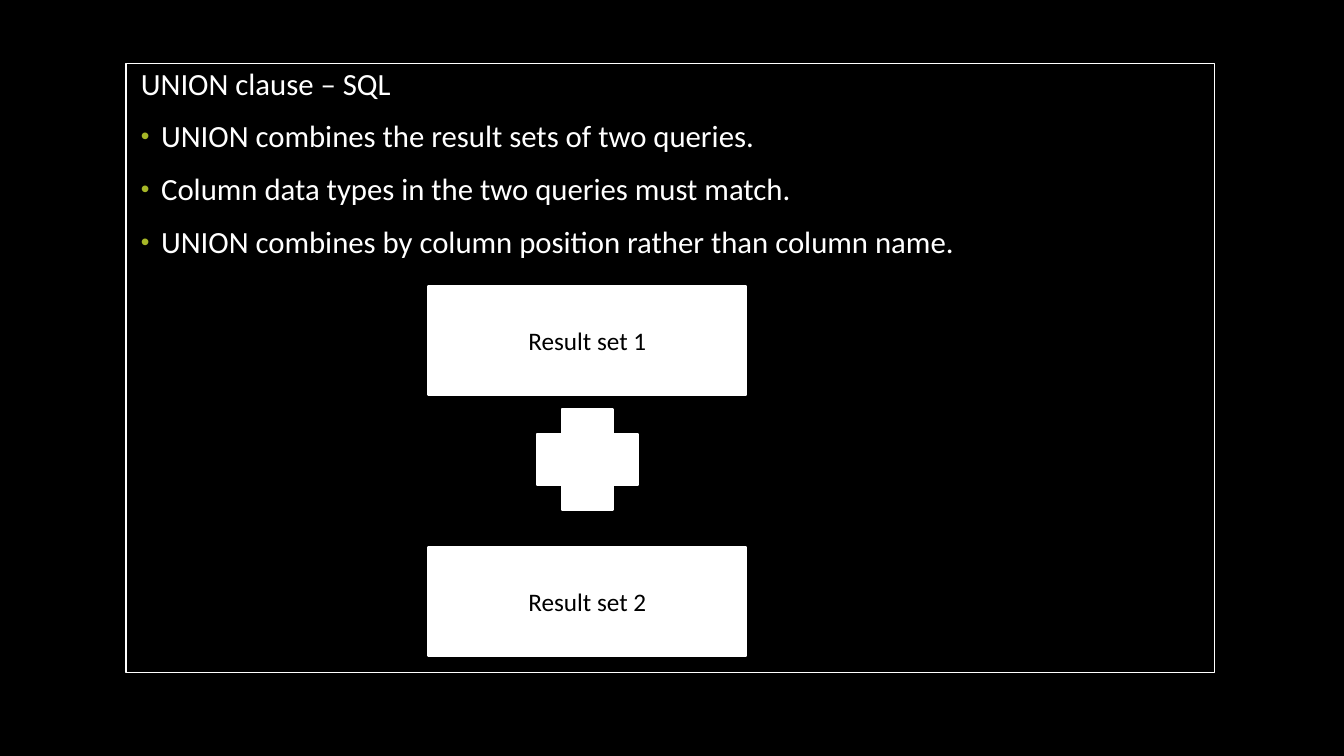
from lxml import etree
from pptx import Presentation
from pptx.dml.color import RGBColor
from pptx.enum.shapes import MSO_SHAPE
from pptx.enum.text import MSO_ANCHOR, PP_ALIGN
from pptx.oxml.ns import qn
from pptx.util import Inches, Pt

RECTANGLE, PLUS = MSO_SHAPE.RECTANGLE, MSO_SHAPE.CROSS
TOP, MIDDLE = MSO_ANCHOR.TOP, MSO_ANCHOR.MIDDLE
LEFT, CENTER = PP_ALIGN.LEFT, PP_ALIGN.CENTER

HEADING = "UNION clause – SQL"
POINTS = [
    "UNION combines the result sets of two queries.",
    "Column data types in the two queries must match.",
    "UNION combines by column position rather than column name.",
]
RESULT_SETS = [("Result set 1", 2.84), ("Result set 2", 5.43)]

FONT = "Calibri"
BLACK, WHITE, GREEN = "000000", "FFFFFF", "A6B727"
FRAME = (1.25, 0.63, 10.8, 6.04)
BOX_LEFT, BOX_WIDTH, BOX_HEIGHT = 4.25, 3.15, 1.08
PLUS_TOP, PLUS_SIZE = 4.06, 1
BODY_FORMAT = {"alignment": LEFT, "line_spacing": 0.9, "space_before": Pt(14)}


def color(value):
    return RGBColor.from_string(value)


def add_block(page, kind, bounds, line_width, fill=None):
    shape = page.shapes.add_shape(kind, *map(Inches, bounds))
    shape.shadow.inherit = False
    if fill:
        shape.fill.solid()
        shape.fill.fore_color.rgb = color(fill)
    else:
        shape.fill.background()
    shape.line.color.rgb = color(WHITE)
    shape.line.width = Pt(line_width)
    return shape


def write(para, text, size, ink, formats):
    for name, value in formats.items():
        setattr(para, name, value)
    span = para.add_run()
    span.text = text
    span.font.name = FONT
    span.font.size = Pt(size)
    span.font.color.rgb = color(ink)


def set_indent(para, margin, indent=0):
    properties = para._p.get_or_add_pPr()
    properties.set("marL", str(Inches(margin)))
    properties.set("indent", str(Inches(indent)))
    return properties


def add_bullet(para):
    properties = set_indent(para, 0.25, -0.2)
    bullet_color = etree.SubElement(properties, qn("a:buClr"))
    etree.SubElement(bullet_color, qn("a:srgbClr"), val=GREEN)
    etree.SubElement(properties, qn("a:buSzPct"), val="80000")
    etree.SubElement(properties, qn("a:buFont"), typeface="Arial")
    etree.SubElement(properties, qn("a:buChar"), char="•")


deck = Presentation()
deck.slide_width, deck.slide_height = Inches(13.33), Inches(7.5)
page = deck.slides.add_slide(deck.slide_layouts[6])
page.background.fill.solid()
page.background.fill.fore_color.rgb = color(BLACK)

body = add_block(page, RECTANGLE, FRAME, 0.75).text_frame
body.word_wrap = True
body.vertical_anchor = TOP
heading = body.paragraphs[0]
write(heading, HEADING, 22, WHITE, BODY_FORMAT)
set_indent(heading, 0.05)
for point in POINTS:
    para = body.add_paragraph()
    write(para, point, 22, WHITE, BODY_FORMAT)
    add_bullet(para)

for label, top in RESULT_SETS:
    bounds = (BOX_LEFT, top, BOX_WIDTH, BOX_HEIGHT)
    box = add_block(page, RECTANGLE, bounds, 1.5, WHITE)
    box.text_frame.vertical_anchor = MIDDLE
    write(box.text_frame.paragraphs[0], label, 18, BLACK, {"alignment": CENTER})

plus_left = BOX_LEFT + (BOX_WIDTH - PLUS_SIZE) / 2
add_block(page, PLUS, (plus_left, PLUS_TOP, PLUS_SIZE, PLUS_SIZE), 1.5, WHITE)

deck.save("out.pptx")
